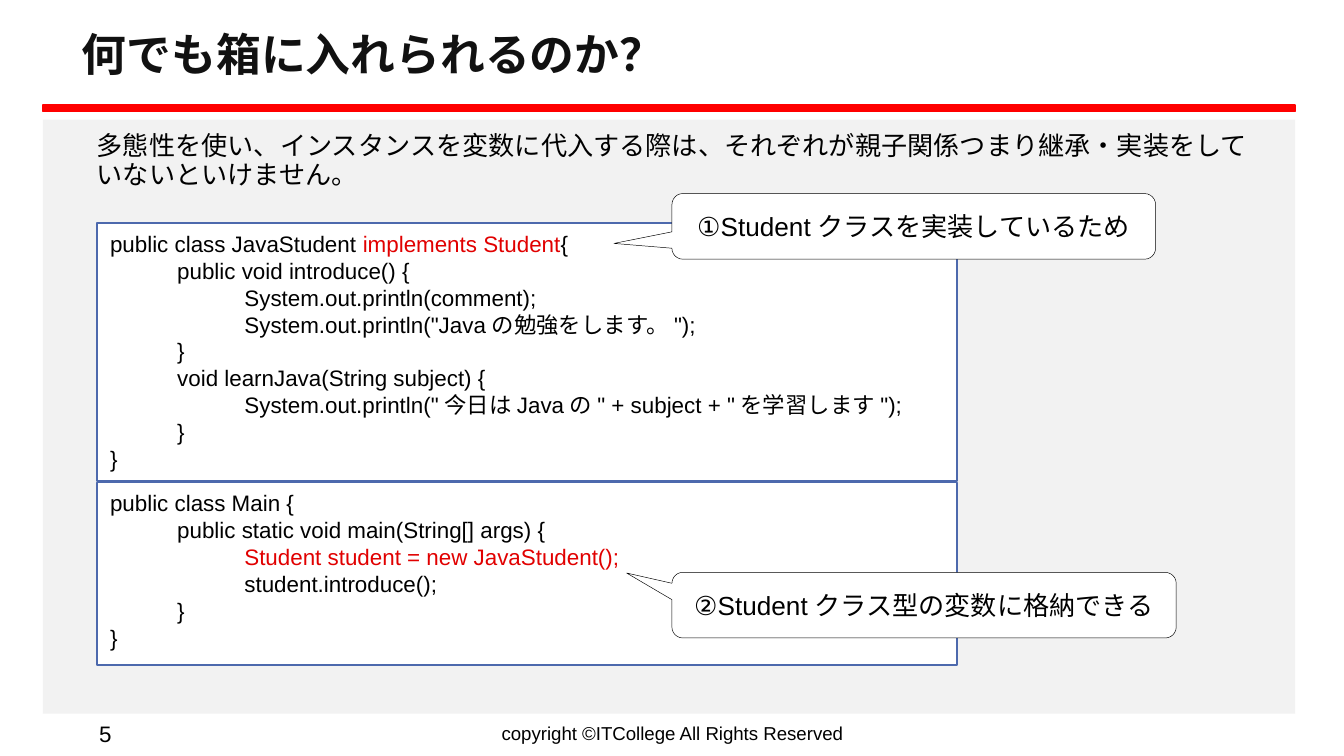
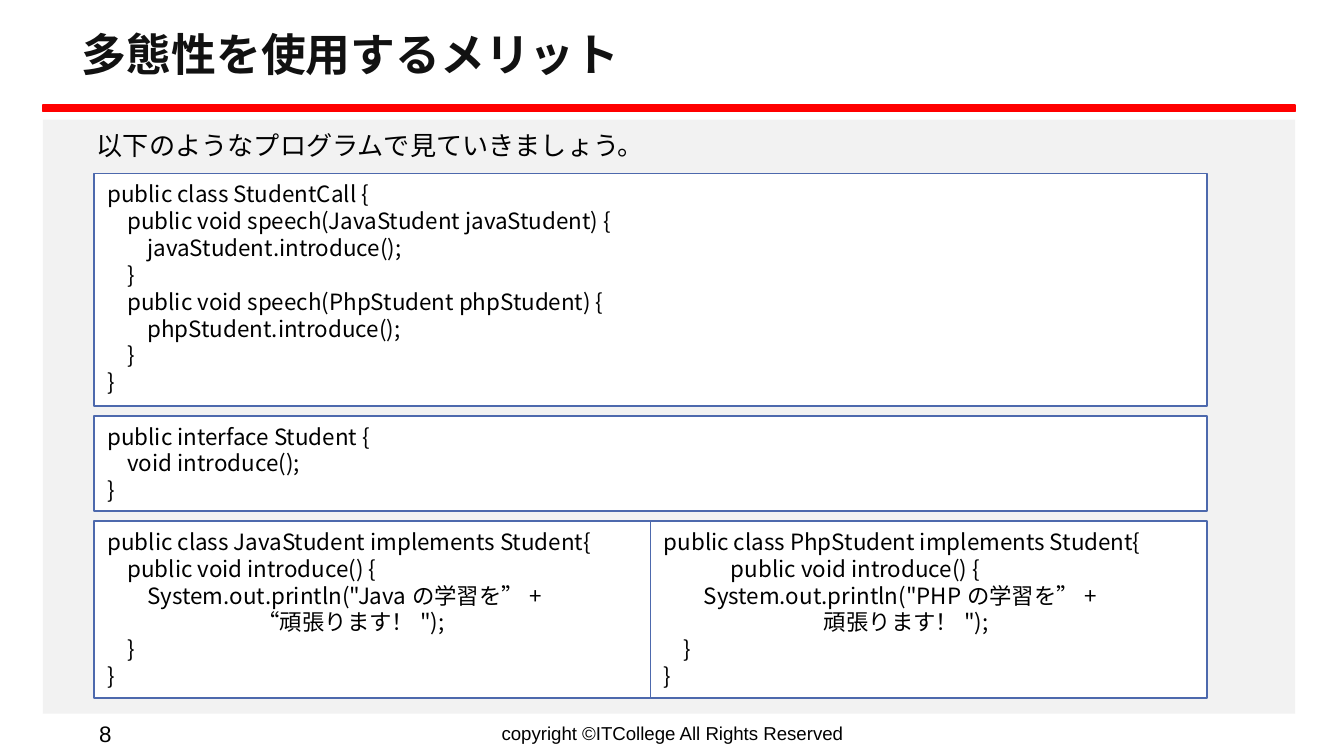
from lxml import etree
from pptx import Presentation
from pptx.dml.color import RGBColor
from pptx.enum.shapes import MSO_SHAPE
from pptx.enum.text import MSO_ANCHOR, PP_ALIGN
from pptx.oxml.ns import qn
from pptx.util import Cm, Pt

RECT, CALLOUT = MSO_SHAPE.RECTANGLE, MSO_SHAPE.ROUNDED_RECTANGULAR_CALLOUT
TOP, MIDDLE = MSO_ANCHOR.TOP, MSO_ANCHOR.MIDDLE
LEFT, CENTER, RIGHT = PP_ALIGN.LEFT, PP_ALIGN.CENTER, PP_ALIGN.RIGHT

BLACK, WHITE, TITLE_INK = "000000", "FFFFFF", "111111"
PANEL, BAND, CODE_LINE, HIGHLIGHT = "F2F2F2", "FF0000", "4D69AD", "E10000"
ARIAL, NOTO = "Arial", "Noto Sans CJK JP"
COPYRIGHT = "copyright ©ITCollege All Rights Reserved"
TAB = 1.27
INSET_X, INSET_Y = 0.25, 0.13

JAVA_STUDENT = """public class JavaStudent implements Student{
\tpublic void introduce() {
\t\tSystem.out.println(comment);
\t\tSystem.out.println("Javaの勉強をします。");
\t}
\tvoid learnJava(String subject) {
\t\tSystem.out.println("今日はJavaの" + subject + "を学習します");
\t}
}"""
MAIN = """public class Main {
\tpublic static void main(String[] args) {
\t\tStudent student = new JavaStudent();
\t\tstudent.introduce();
\t}
}"""
STUDENT_CALL = """public class StudentCall {
    public void speech(JavaStudent javaStudent) {
        javaStudent.introduce();
    }
    public void speech(PhpStudent phpStudent) {
        phpStudent.introduce();
    }
}"""
STUDENT = """public interface Student {
    void introduce();
}"""
JAVA_SPEECH = """public class JavaStudent implements Student{
    public void introduce() {
        System.out.println("Javaの学習を”+
                              “頑張ります！");
    }
}"""
PHP_SPEECH = """public class PhpStudent implements Student{
\tpublic void introduce() {
        System.out.println("PHPの学習を”+
                                頑張ります！");
    }
}"""

SLIDES = [
    {
        "number": "5",
        "title": "何でも箱に入れられるのか？",
        "lead": "多態性を使い、インスタンスを変数に代入する際は、"
                "それぞれが親子関係つまり継承・実装をしていないといけません。",
        "font": ARIAL,
        "left": 1.83, "top": 4.22, "width": 16.26, "gap": 0.02,
        "rows": [
            (4.88, [(JAVA_STUDENT, "implements Student")]),
            (3.45, [(MAIN, "Student student = new JavaStudent();")]),
        ],
        "callouts": [
            ("①Studentクラスを実装しているため", 3.66, 9.14, (-0.62, 0.26)),
            ("②Studentクラス型の変数に格納できる", 10.82, 9.53, (-0.59, -0.49)),
        ],
    },
    {
        "number": "8",
        "title": "多態性を使用するメリット",
        "lead": "以下のようなプログラムで見ていきましょう。",
        "font": NOTO,
        "left": 1.78, "top": 3.28, "width": 21.03, "gap": 0.19,
        "rows": [
            (4.39, [(STUDENT_CALL, "")]),
            (1.8, [(STUDENT, "")]),
            (3.35, [(JAVA_SPEECH, ""), (PHP_SPEECH, "")]),
        ],
        "callouts": [],
    },
]


def rgb(value):
    return RGBColor.from_string(value)


def add_box(s, box, fill, line=None, weight=1, kind=RECT):
    sp = s.shapes.add_shape(kind, *map(Cm, box))
    sp.shadow.inherit = False
    sp.fill.solid()
    sp.fill.fore_color.rgb = rgb(fill)
    if line:
        sp.line.color.rgb = rgb(line)
        sp.line.width = Pt(weight)
    else:
        sp.line.fill.background()
    return sp


def set_frame(sp, anchor=TOP, **insets):
    tf = sp.text_frame
    frame = {"word_wrap": True, "vertical_anchor": anchor,
             "margin_left": Cm(INSET_X), "margin_right": Cm(INSET_X),
             "margin_top": Cm(INSET_Y), "margin_bottom": Cm(INSET_Y)}
    frame.update({name: Cm(value) for name, value in insets.items()})
    for name, value in frame.items():
        setattr(tf, name, value)
    return tf


def add_run(p, text, size, color=BLACK, font=ARIAL, bold=False):
    r = p.add_run()
    r.text = text
    for name, value in {"size": Pt(size), "name": font, "bold": bold}.items():
        setattr(r.font, name, value)
    r.font.color.rgb = rgb(color)
    r.font._element.find(qn("a:latin")).addnext(
        etree.Element(qn("a:ea"), typeface=font))


def write(tf, text, size, align=LEFT, spacing=1.0, **font):
    p = tf.paragraphs[0]
    p.alignment = align
    p.line_spacing = spacing
    add_run(p, text, size, **font)


def add_label(s, box, text, size, align=LEFT, anchor=MIDDLE, spacing=1.0,
              insets=None, **font):
    sp = s.shapes.add_textbox(*map(Cm, box))
    write(set_frame(sp, anchor, **(insets or {})), text, size, align, spacing, **font)


def add_tabs(p):
    tabs = etree.SubElement(p._p.get_or_add_pPr(), qn("a:tabLst"))
    for n in (1, 2):
        etree.SubElement(tabs, qn("a:tab"), pos=str(Cm(n * TAB)), algn="l")


def add_code(s, box, code, marked, font):
    tf = set_frame(add_box(s, box, WHITE, CODE_LINE))
    for i, line in enumerate(code.split("\n")):
        p = tf.add_paragraph() if i else tf.paragraphs[0]
        p.alignment = LEFT
        add_tabs(p)
        before, hit, after = line.partition(marked) if marked else (line, "", "")
        for text, color in ((before, BLACK), (hit, HIGHLIGHT), (after, BLACK)):
            if text:
                add_run(p, text, 12, color, font)


def add_callout(s, text, top, width, tip):
    sp = add_box(s, (12.7, top, width, 1.24), WHITE, BLACK, 0.25, CALLOUT)
    for i, value in enumerate(tip):
        sp.adjustments[i] = value
    write(set_frame(sp, MIDDLE), text, 14, CENTER)


def add_frame(s, slide):
    add_box(s, (0.81, 2.26, 23.67, 11.23), PANEL)
    add_box(s, (0.81, 1.98, 23.67, 0.13), BAND, BAND)
    add_label(s, (8.41, 13.51, 8.59, 0.71), COPYRIGHT, 10, CENTER)
    add_label(s, (1.3, 0.33, 22.83, 1.5), slide["title"], 24, spacing=0.9,
              color=TITLE_INK, bold=True)
    add_label(s, (0.61, 13.51, 1.75, 0.71), slide["number"], 12, RIGHT)
    add_label(s, (1.3, 2.39, 22.83, 0.94), slide["lead"], 14, anchor=TOP,
              spacing=0.9, insets={"margin_left": 0.53})


def add_listing(s, slide):
    top = slide["top"]
    for height, blocks in slide["rows"]:
        width = slide["width"] / len(blocks)
        for i, (code, marked) in enumerate(blocks):
            box = (slide["left"] + i * width, top, width, height)
            add_code(s, box, code, marked, slide["font"])
        top += height + slide["gap"]


def main():
    prs = Presentation()
    prs.slide_width, prs.slide_height = Cm(25.4), Cm(14.29)
    for slide in SLIDES:
        s = prs.slides.add_slide(prs.slide_layouts[6])
        add_frame(s, slide)
        add_listing(s, slide)
        for callout in slide["callouts"]:
            add_callout(s, *callout)
    prs.save("out.pptx")


if __name__ == "__main__":
    main()
